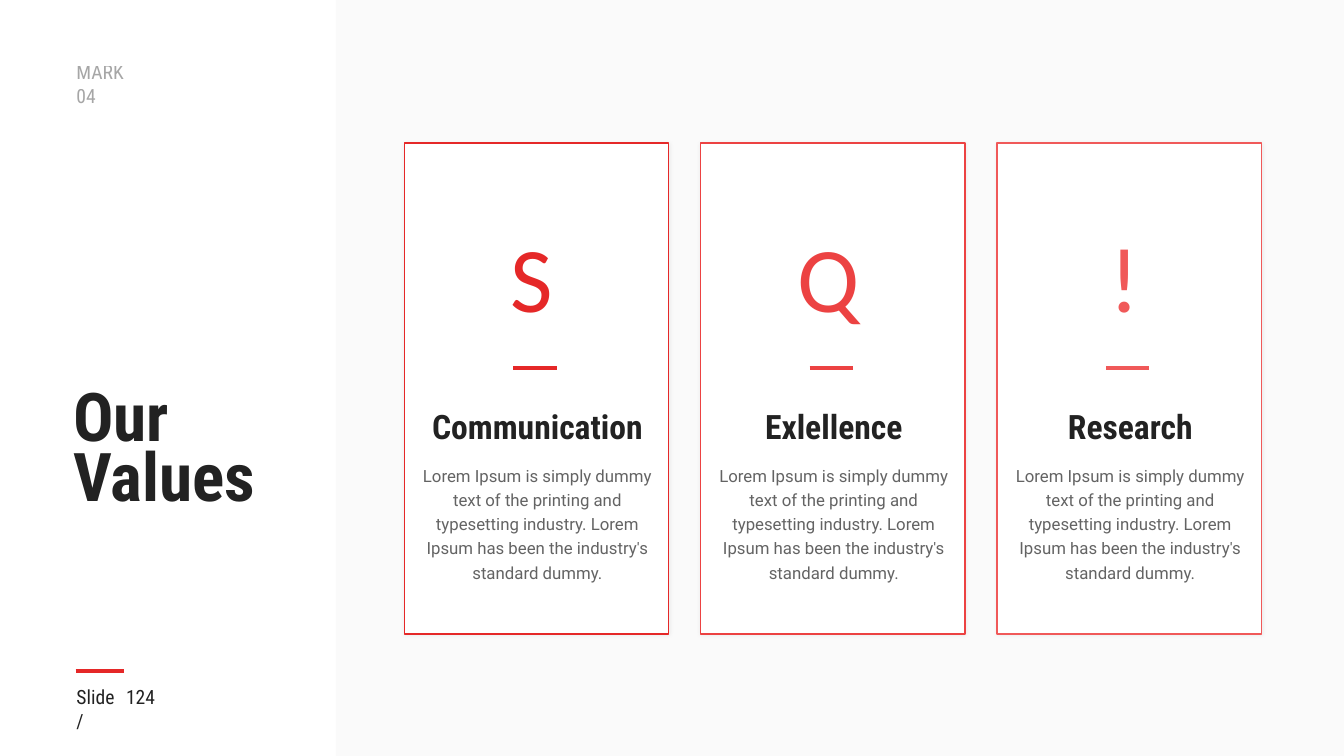
"""Build the "Our Values" slide: a white side panel and three value cards."""
from dataclasses import dataclass

from lxml import etree
from pptx import Presentation, util as u
from pptx.dml.color import RGBColor
from pptx.enum import shapes, text
from pptx.oxml.ns import qn

BODY = ("Lorem Ipsum is simply dummy text of the printing and typesetting "
        "industry. Lorem Ipsum has been the industry's standard dummy.")
CARDS = [
    ("S", "Communication", "E52828"),
    ("Q", "Exlellence", "EC4242"),
    ("!", "Research", "F05959"),
]
MARK = ["MARK", "04"]
TITLE = ["Our", "Values"]
PAGE = ["Slide", "/"]
NUMBER = ["124"]


@dataclass(frozen=True)
class Theme:
    """Colours, fonts and type sizes."""
    ink: str = "222222"
    paper: str = "FFFFFF"
    red: str = "E52828"
    head: str = "Roboto Condensed"
    body: str = "Roboto"
    icon: str = "Calibri"
    title: int = 48
    glyph: int = 66
    name: int = 24
    label: int = 14
    small: int = 12


T = Theme()
WIDE, HIGH = 13.33, 7.5
SIDE = WIDE / 4
LEFT, TOP = 4.01, 1.42
CARD_W, CARD_H, STEP = 2.62, 4.87, 2.94
TEXT_W, ICON_W, DASH_W = 2.48, 0.95, 0.43
CENTER, MIDDLE = text.PP_ALIGN.CENTER, text.MSO_ANCHOR.MIDDLE


def fade(node, share):
    """Make every colour under the node see-through, keeping share percent."""
    for color in node.iter(qn("a:srgbClr")):
        etree.SubElement(color, qn("a:alpha")).set("val", str(share * 1000))


def add_rect(group, left, top, width, height, color):
    """Add a plain rectangle without line or shadow."""
    rect = group.add_shape(shapes.MSO_SHAPE.RECTANGLE, u.Inches(left),
                           u.Inches(top), u.Inches(width), u.Inches(height))
    rect.shadow.inherit = False
    rect.fill.solid()
    rect.fill.fore_color.rgb = RGBColor.from_string(color)
    rect.line.fill.background()
    return rect


def add_glow(rect):
    """Give a card its faint, even shadow."""
    effects = rect._element.spPr.find(qn("a:effectLst"))
    outer = etree.SubElement(effects, qn("a:outerShdw"), blurRad=str(u.Pt(3)),
                             dist="0", dir="0", algn="ctr", rotWithShape="0")
    etree.SubElement(outer, qn("a:srgbClr"), val="000000")
    fade(outer, 5)


def add_dash(group, left, top, width, color):
    """Add a short thick rule."""
    dash = group.add_connector(shapes.MSO_CONNECTOR.STRAIGHT, u.Inches(left),
                               u.Inches(top), u.Inches(left + width), u.Inches(top))
    dash.line.color.rgb = RGBColor.from_string(color)
    dash.line.width = u.Pt(3)
    etree.SubElement(dash._element.spPr, qn("a:effectLst"))


def add_text(group, lines, left, top, width, height, size, font=T.head,
             color=T.ink, bold=False, share=100, space=None, align=None,
             anchor=text.MSO_ANCHOR.TOP, inset=0.1):
    """Add a text box with one paragraph broken into the given lines."""
    box = group.add_textbox(u.Inches(left), u.Inches(top),
                            u.Inches(width), u.Inches(height))
    frame = box.text_frame
    frame.word_wrap = True
    frame.vertical_anchor = anchor
    frame.margin_left = frame.margin_right = u.Inches(inset)
    para = frame.paragraphs[0]
    para.alignment, para.line_spacing = align, space
    for row, line in enumerate(lines):
        if row:
            para.add_line_break()
        run = para.add_run()
        run.text = line
        run.font.name, run.font.size, run.font.bold = font, u.Pt(size), bold
        run.font.color.rgb = RGBColor.from_string(color)
        if share < 100:
            fade(run._r, share)


def add_side(parts):
    """Add the backdrop and the texts of the side panel."""
    back = add_rect(parts, SIDE, 0, WIDE - SIDE, HIGH, T.ink)
    fade(back._element.spPr, 2)
    add_text(parts, MARK, 0.66, 0.55, 0.7, 0.57, T.label, share=40)
    add_text(parts, NUMBER, 1.12, 6.73, 0.71, 0.36, T.label,
             anchor=MIDDLE, inset=0.13)
    add_text(parts, PAGE, 0.66, 6.75, 0.65, 0.57, T.label)
    add_dash(parts, 0.75, 6.66, 0.48, T.red)
    add_text(parts, TITLE, 0.63, 3.85, 2.8, 2.37, T.title, bold=True, space=0.75)


def add_card(parts, left, icon, name, color):
    """Add one value card as a group."""
    card = parts.add_group_shape().shapes
    rect = add_rect(card, left, TOP, CARD_W, CARD_H, T.paper)
    rect.line.color.rgb = RGBColor.from_string(color)
    rect.line.width = u.Pt(1)
    add_glow(rect)
    add_dash(card, left + 1.08, 3.65, DASH_W, color)
    add_text(card, [icon], left + 0.79, 2.06, ICON_W, 1.56, T.glyph, T.icon,
             color, space=0.8, align=CENTER, anchor=MIDDLE)
    add_text(card, [name], left + 0.08, 4.06, TEXT_W, 0.93, T.name, bold=True,
             space=0.8, align=CENTER)
    add_text(card, [BODY], left + 0.08, 4.53, TEXT_W, 1.49, T.small, T.body,
             share=70, space=1.2, align=CENTER)


def main():
    """Build and save the slide."""
    deck = Presentation()
    deck.slide_width, deck.slide_height = u.Inches(WIDE), u.Inches(HIGH)
    parts = deck.slides.add_slide(deck.slide_layouts[6]).shapes
    add_side(parts)
    for col, (icon, name, color) in enumerate(CARDS):
        add_card(parts, LEFT + col * STEP, icon, name, color)
    deck.save("out.pptx")


if __name__ == "__main__":
    main()
